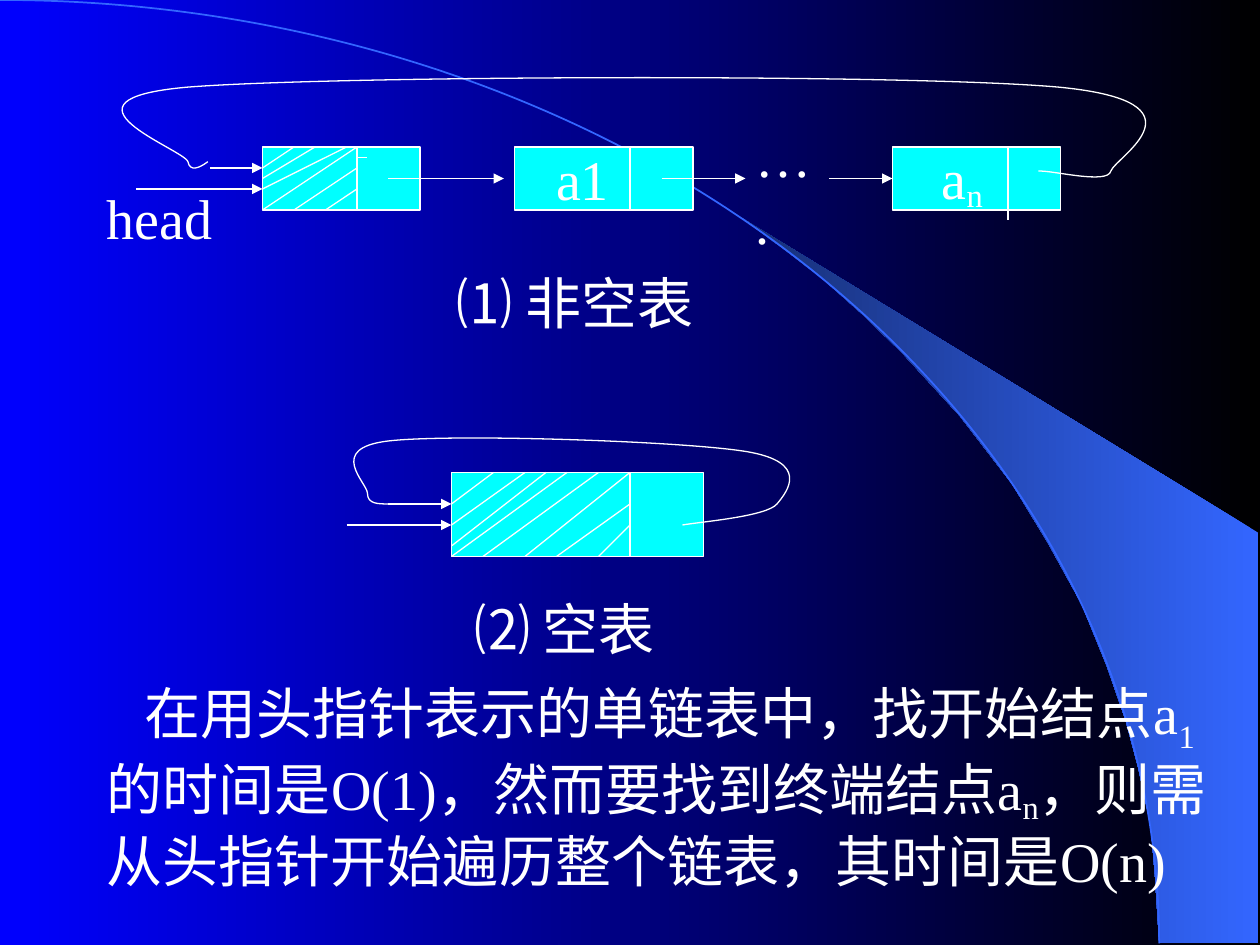
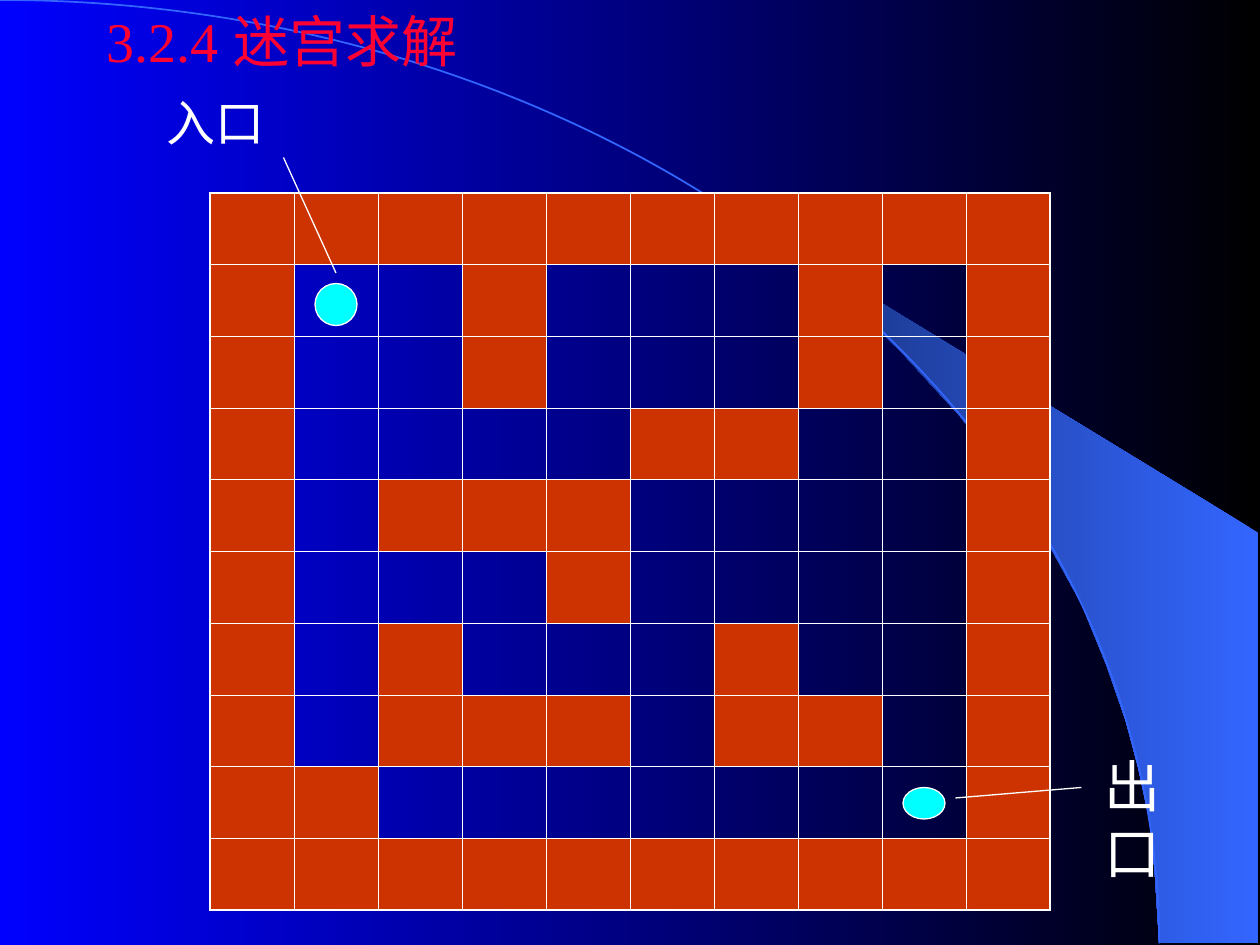
from lxml import etree
from pptx import Presentation
from pptx import util as u
from pptx.dml import color as col
from pptx.enum import shapes as sh
from pptx.enum import text as tx
from pptx.oxml import ns

UNIT = 25.4 / 120  # the slide is a grid of 120 by 90 units
FONT = "Times New Roman"
WHITE, CYAN, RED, BRICK = "FFFFFF", "00FFFF", "FF0033", "CC3300"
SKY, NAVY, BLACK, BLUE = "3366FF", "172F75", "000000", "0000FF"

BEAM = [(110.4, 89.8), (119.85, 89.85), (119.85, 50.75), (70.7, 20.8),
        (74.9, 23.9), (78.4, 26.6), (82.2, 30), (85.9, 33.6), (91.4, 39.6),
        (96.4, 46.1), (99.8, 51.7), (103, 57.5), (105.4, 63.4),
        (107.2, 68.6), (108.4, 73.1), (109.6, 78.7), (110, 83.5)]

# Loops: a start point, then three points for each cubic piece
LONG_LOOP = [(19.8, 15.4), (19, 16), (18.1, 16.4), (17.9, 15.4),
             (17.5, 14.2), (4, 9.5), (17.9, 8.3),
             (31.7, 7.2), (86.2, 7), (100.8, 8.3),
             (115.6, 9.7), (106.2, 15), (105.8, 16.3),
             (105.5, 17.6), (100.2, 16.2), (98.9, 16.3)]
SHORT_LOOP = [(37, 48), (36, 48), (35, 48), (35, 47),
              (35, 46), (31, 42.7), (37, 42),
              (43, 41.3), (64.8, 42), (71, 43),
              (77.2, 44), (75, 46.8), (74, 48),
              (73, 49.2), (66.7, 49.7), (65, 50)]

# Each line: x1, y1, x2, y2
FULL_HATCH = [(28, 14, 25, 16), (34, 15, 35, 15), (30, 14, 25, 17),
              (33, 14, 25, 18), (34, 14, 25, 20), (34, 14, 34, 20),
              (34, 16, 28, 20), (34, 18, 31, 20)]
BARE_HATCH = [(47, 45, 43, 48), (50, 45, 43, 50), (52, 45, 43, 52),
              (54, 45, 43, 53), (57, 45, 46, 53), (60, 45, 60, 45),
              (60, 45, 50, 53), (60, 48, 53, 53), (60, 50, 57, 53)]
SPLITS = [(60, 14, 60, 20), (96, 14, 96, 21), (60, 45, 60, 53)]
ARROWS = [(37, 17, 48, 17), (63, 17, 71, 17), (13, 18, 25, 18),
          (20, 16, 25, 16), (33, 50, 43, 50), (37, 48, 43, 48)]

MAZE = ["1111111111",
        "1001000101",
        "1001000101",
        "1000011001",
        "1011100001",
        "1000100001",
        "1010001001",
        "1011101101",
        "1100000001",
        "1111111111"]


def grid(*nums):
    """Turn grid units into lengths."""
    return [u.Cm(n * UNIT) for n in nums]


def rgb(code):
    return col.RGBColor.from_string(code)


def blend(fill, first, last):
    """Fill with a gradient that runs from right to left."""
    fill.gradient()
    fill.gradient_angle = 180
    for stop, code, pos in zip(fill.gradient_stops, (first, last), (0, 1)):
        stop.color.rgb = rgb(code)
        stop.position = pos


def stroke(line, code=WHITE, width=0.75):
    line.color.rgb = rgb(code)
    line.width = u.Pt(width)


def outline(slide, points, closed=False):
    spots = [grid(*p) for p in points]
    pen = slide.shapes.build_freeform(*spots[0])
    pen.add_line_segments(spots[1:], close=closed)
    shape = pen.convert_to_shape()
    shape.shadow.inherit = False
    return shape


def curve(slide, knots):
    """Draw an outline and join each three of its points into a cubic."""
    shape = outline(slide, knots)
    legs = list(shape._element.iter(ns.qn("a:lnTo")))
    for i in range(0, len(legs), 3):
        bend = etree.Element(ns.qn("a:cubicBezTo"))
        legs[i].addprevious(bend)
        for leg in legs[i:i + 3]:
            bend.append(leg[0])
            leg.getparent().remove(leg)
    shape.fill.background()
    stroke(shape.line)


def line(slide, ends, arrow=False):
    link = slide.shapes.add_connector(sh.MSO_CONNECTOR.STRAIGHT, *grid(*ends))
    stroke(link.line)
    props = link.line._get_or_add_ln()
    if arrow:
        etree.SubElement(props, ns.qn("a:tailEnd"), type="triangle")
    etree.SubElement(link._element.spPr, ns.qn("a:effectLst"))
    return link


def figure(slide, kind, *box):
    shape = slide.shapes.add_shape(kind, *grid(*box))
    shape.shadow.inherit = False
    shape.fill.solid()
    shape.fill.fore_color.rgb = rgb(CYAN)
    stroke(shape.line)
    return shape


def write(para, parts, size=32, code=WHITE):
    """Fill a paragraph with (text, baseline percent) parts."""
    for words, base in parts:
        run = para.add_run()
        run.text = words
        run.font.name = FONT
        run.font.size = u.Pt(size)
        run.font.color.rgb = rgb(code)
        props = run._r.get_or_add_rPr()
        props.set("lang", "zh-CN")
        if base:
            props.set("baseline", str(base * 1000))


def indent(para, first):
    para._p.get_or_add_pPr().set("indent", str(u.Cm(first)))


def note(slide, box, *parts, size=32, code=WHITE):
    frame = slide.shapes.add_textbox(*grid(*box)).text_frame
    frame.word_wrap = True
    para = frame.paragraphs[0]
    write(para, parts, size, code)
    return para


def node(slide, left, top, wide, high, parts=(), pad=0):
    """Draw a list node; pad pushes its text left of the middle."""
    shape = figure(slide, sh.MSO_SHAPE.RECTANGLE, left, top, wide, high)
    if parts:
        frame = shape.text_frame
        frame.word_wrap = False
        frame.vertical_anchor = tx.MSO_ANCHOR.MIDDLE
        frame.margin_right = u.Cm(0.25 + pad)
        para = frame.paragraphs[0]
        para.alignment = tx.PP_ALIGN.CENTER
        write(para, parts)
    return shape


def edge(cell, side, width):
    props = cell._tc.get_or_add_tcPr()
    rim = etree.SubElement(props, ns.qn("a:ln" + side), w=str(u.Pt(width)))
    fill = etree.SubElement(rim, ns.qn("a:solidFill"))
    etree.SubElement(fill, ns.qn("a:srgbClr"), val=WHITE)


def maze(slide, left, top, wide, high):
    """Draw the maze as a table whose walls are filled cells."""
    last = len(MAZE) - 1
    table = slide.shapes.add_table(
        len(MAZE), len(MAZE[0]), *grid(left, top, wide, high)).table
    table.first_row = table.horz_banding = False
    for r, row in enumerate(MAZE):
        for c, mark in enumerate(row):
            cell = table.cell(r, c)
            rims = {"L": c == 0, "R": c == last, "T": r == 0, "B": r == last}
            for side, outer in rims.items():
                edge(cell, side, 1.08 if outer else 0.45)
            if mark == "1":
                cell.fill.solid()
                cell.fill.fore_color.rgb = rgb(BRICK)
            else:
                cell.fill.background()


def start(deck):
    """Add a slide with the shared beam and arc."""
    slide = deck.slides.add_slide(deck.slide_layouts[6])
    beam = outline(slide, BEAM, closed=True)
    blend(beam.fill, SKY, NAVY)
    beam.line.fill.background()
    arc = figure(slide, sh.MSO_SHAPE.ARC, -110.4, 0, 220.8, 179.7)
    arc.fill.background()
    stroke(arc.line, SKY, 1)
    return slide


def lists(deck):
    slide = start(deck)
    node(slide, 25, 14, 15, 6)
    node(slide, 49, 14, 17, 6, [("a1", 0)], pad=0.85)
    tail = node(slide, 85, 14, 16, 6, [("a", 0), ("n", -14)], pad=0.58)
    node(slide, 43, 45, 24, 8)
    for ends in FULL_HATCH + BARE_HATCH + SPLITS:
        line(slide, ends)
    for ends in ARROWS:
        line(slide, ends, arrow=True)
    line(slide, (79, 17, 85, 17), arrow=True).end_connect(tail, 1)
    curve(slide, LONG_LOOP)
    curve(slide, SHORT_LOOP)

    note(slide, (70.8, 11, 8.2, 7.7), ("….", 0))
    note(slide, (9, 16.9, 14, 7.7), ("head", 0))
    note(slide, (42.3, 25, 30.7, 7.7), ("⑴ 非空表", 0))
    note(slide, (44, 56, 23, 7.7), ("⑵ 空表", 0))
    body = note(slide, (9, 64, 110, 27.7),
                ("在用头指针表示的单链表中，找开始结点a", 0), ("1", -25),
                ("的时间是O(1)，然而要找到终端结点a", 0), ("n", -16),
                ("，则需从头指针开始遍历整个链表，其时间是O(n)", 0))
    indent(body, 0.76)


def search(deck):
    slide = start(deck)
    title = note(slide, (9, 0, 107, 93), ("3.2.4 迷宫求解", 0), code=RED)
    entry = title._parent.add_paragraph()
    entry.space_before = u.Pt(11)
    indent(entry, 1.2)
    write(entry, [("入口", 0)], size=28)

    maze(slide, 20, 18.36, 80.05, 68.35)
    figure(slide, sh.MSO_SHAPE.FLOWCHART_CONNECTOR, 30, 27, 4, 4)
    line(slide, (32, 26, 27, 15))
    figure(slide, sh.MSO_SHAPE.OVAL, 86, 75, 4, 3)
    line(slide, (91, 76, 103, 75))
    note(slide, (104, 71, 8, 14), ("出口", 0))


def main():
    deck = Presentation()
    deck.slide_width, deck.slide_height = grid(120, 90)
    blend(deck.slide_master.background.fill, BLACK, BLUE)
    lists(deck)
    search(deck)
    deck.save("out.pptx")


if __name__ == "__main__":
    main()
